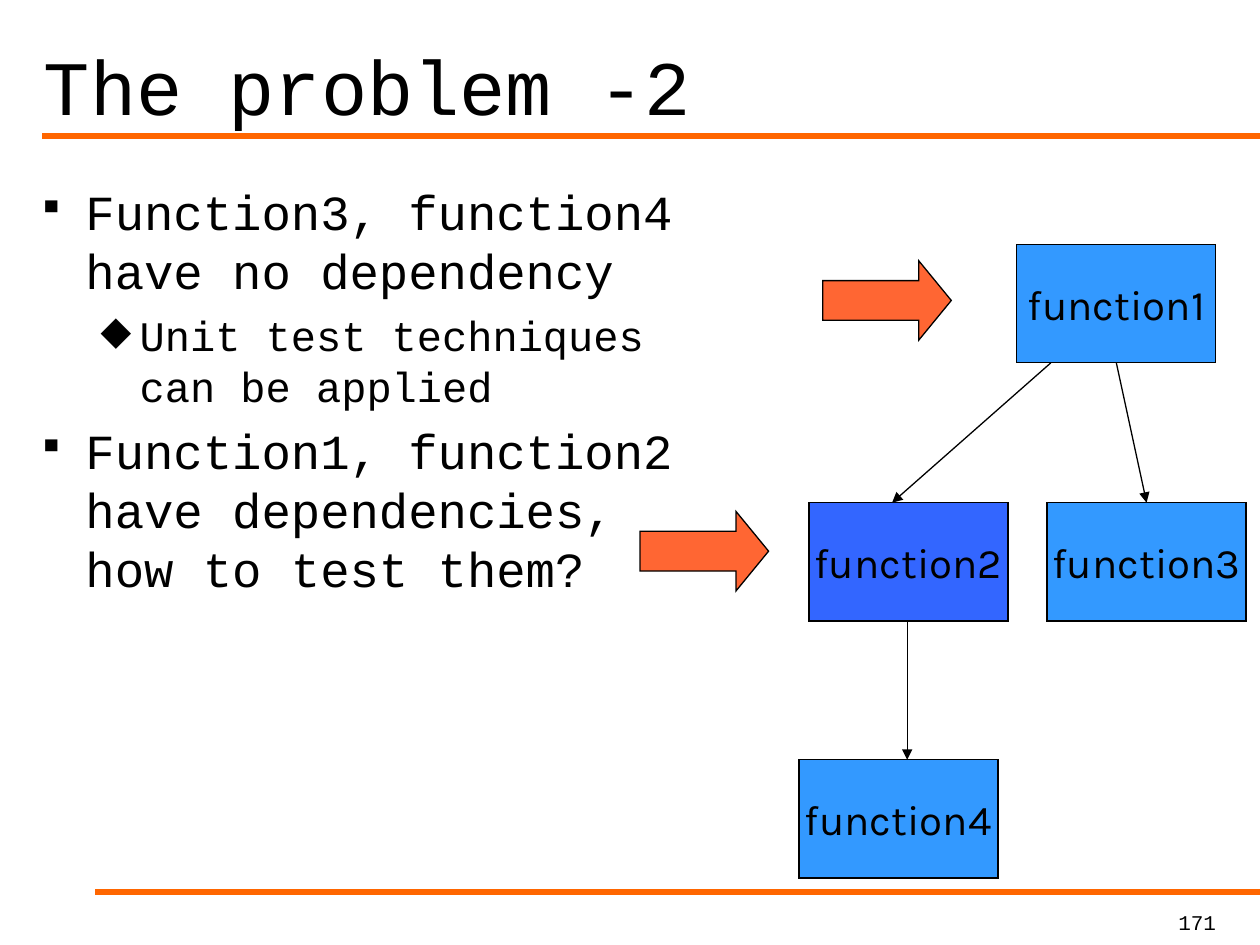
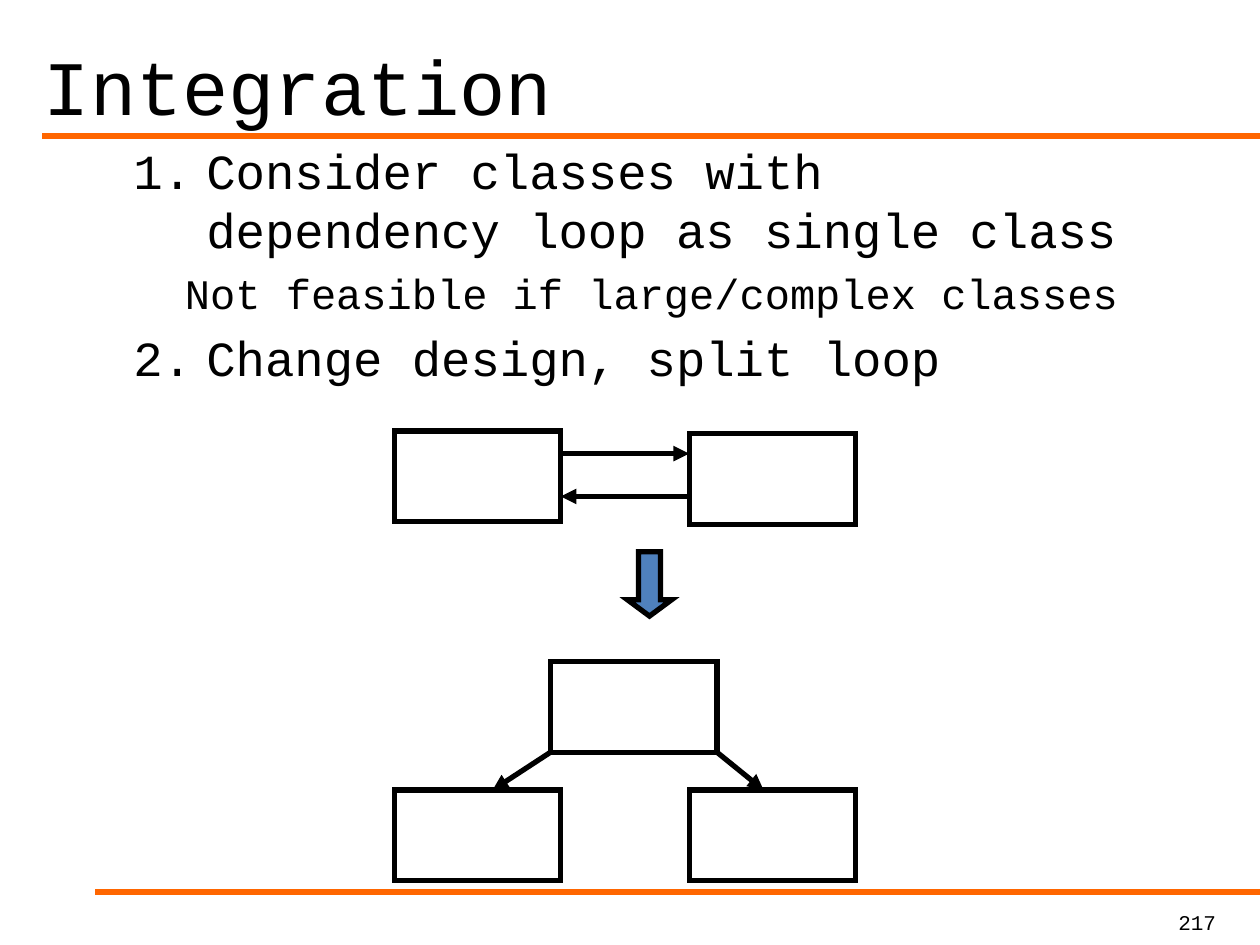
from lxml import etree
from pptx import Presentation
from pptx.dml.color import RGBColor
from pptx.enum import shapes, text
from pptx.oxml.ns import qn
from pptx.util import Inches, Pt

ORANGE = RGBColor(0xFF, 0x66, 0x00)
BLACK = RGBColor(0x00, 0x00, 0x00)
SKY = RGBColor(0x33, 0x99, 0xFF)
ROYAL = RGBColor(0x33, 0x66, 0xFF)
CORAL = RGBColor(0xFF, 0x66, 0x33)
STEEL = RGBColor(0x4F, 0x81, 0xBD)
BODY_FONT, NODE_FONT = "Courier New", "Karla"
THIN, THICK = 0.75, 3

# Paragraph styles: level, size, left margin, first-line indent, bullet, space after
NUMBER = "arabicPeriod"
STYLES = {
    "point": (0, 28, 0.38, -0.38, "▪", 0.05),
    "detail": (1, 24, 0.81, -0.31, "◆", 0),
    "step": (1, 28, 0.79, -0.58, NUMBER, 0),
    "remark": (2, 24, 1.12, -0.5, None, 0),
}
BULLET_PERCENT = {"▪": 75, "◆": 95}

PROBLEM = {
    "title": "The problem -2",
    "page": "171",
    "body_at": (0.2, 1.39, 5.51, 5.75),
    "body": [
        ("point", "Function3, function4 have no dependency"),
        ("detail", "Unit test techniques can be applied"),
        ("point", "Function1, function2 have dependencies, how to test them?"),
    ],
}
FUNCTION_SIZE = (1.58, 0.94)
FUNCTIONS = {
    "function1": (8.07, 1.94, SKY),
    "function2": (6.42, 3.99, ROYAL),
    "function3": (8.31, 3.99, SKY),
    "function4": (6.34, 6.03, SKY),
}
# Caller, callee, x where the arrow leaves, x where it lands
CALLS = [
    ("function1", "function2", 8.34, 7.08),
    ("function1", "function3", 8.86, 9.1),
    ("function2", "function4", 7.2, 7.2),
]
POINTERS = [(5.08, 4.06), (6.53, 2.07)]

INTEGRATION = {
    "title": "Integration",
    "page": "217",
    "body_at": (0.75, 1.07, 8.24, 5.1),
    "body": [
        ("step", "Consider classes with dependency loop as single class"),
        ("remark", "Not feasible if large/complex classes"),
        ("step", "Change design, split loop"),
    ],
}
CLASS_SIZE = (1.32, 0.72)
LEFT, MIDDLE, RIGHT = 3.13, 4.37, 5.47
LOOP_TOPS = {LEFT: 3.42, RIGHT: 3.44}
SPLIT_TOP, PARTS_TOP = 5.25, 6.27


def write(frame, lines, size=12, font=BODY_FONT, align=None, wrap=True,
          anchor=text.MSO_ANCHOR.TOP):
    """Fill a text frame; a line is plain text or a (style, text) pair."""
    frame.word_wrap = wrap
    frame.vertical_anchor = anchor
    for index, line in enumerate(lines):
        paragraph = frame.paragraphs[0] if index == 0 else frame.add_paragraph()
        line_size = size
        if isinstance(line, tuple):
            style, line = line
            line_size = apply_style(paragraph, STYLES[style], index == 0)
        if align is not None:
            paragraph.alignment = align
        run = paragraph.add_run()
        run.text = line
        run.font.size = Pt(line_size)
        run.font.name = font
        run.font.color.rgb = BLACK


def apply_style(paragraph, style, is_first):
    """Set level, spacing, indents and bullet; return the text size."""
    level, size, margin, indent, bullet, after = style
    paragraph.level = level
    paragraph.space_before = Pt(0 if is_first else 0.2 * size)
    paragraph.space_after = Pt(after * size)
    properties = paragraph._p.get_or_add_pPr()
    properties.set("marL", str(Inches(margin)))
    properties.set("indent", str(Inches(indent)))
    if bullet == NUMBER:
        etree.SubElement(properties, qn("a:buFont"), typeface=BODY_FONT)
        etree.SubElement(properties, qn("a:buAutoNum"), type=NUMBER)
    elif bullet:
        percent = BULLET_PERCENT[bullet] * 1000
        etree.SubElement(properties, qn("a:buSzPct"), val=str(percent))
        etree.SubElement(properties, qn("a:buChar"), char=bullet)
    else:
        etree.SubElement(properties, qn("a:buNone"))
    return size


def add_text(slide, at, lines, **text_format):
    box = slide.shapes.add_textbox(*map(Inches, at))
    write(box.text_frame, lines, **text_format)


def add_line(slide, start, end, color=BLACK, width=THIN, arrow=True):
    line = slide.shapes.add_connector(
        shapes.MSO_CONNECTOR.STRAIGHT, *map(Inches, (*start, *end)))
    line.line.color.rgb = color
    line.line.width = Pt(width)
    if arrow:
        etree.SubElement(line.line._get_or_add_ln(), qn("a:tailEnd"), type="triangle")
    etree.SubElement(line._element.spPr, qn("a:effectLst"))


def add_outlined(slide, kind, at, fill=None, width=THIN, adjustments=()):
    """Add a preset shape with a black, sharp-cornered outline."""
    shape = slide.shapes.add_shape(kind, *map(Inches, at))
    shape.shadow.inherit = False
    if fill is None:
        shape.fill.background()
    else:
        shape.fill.solid()
        shape.fill.fore_color.rgb = fill
    shape.line.color.rgb = BLACK
    shape.line.width = Pt(width)
    etree.SubElement(shape.line._get_or_add_ln(), qn("a:miter"), lim="800000")
    for index, value in enumerate(adjustments):
        shape.adjustments[index] = value
    return shape


def add_page(deck, content):
    """Add a slide with its rules, title, body and page number."""
    slide = deck.slides.add_slide(deck.slide_layouts[6])
    for left, y in ((0.33, 1.08), (0.75, 7.08)):
        add_line(slide, (10, y), (left, y), color=ORANGE, width=THICK, arrow=False)
    add_text(slide, (0.25, 0.17, 9.42, 1), [content["title"]], size=44,
             anchor=text.MSO_ANCHOR.MIDDLE)
    add_text(slide, content["body_at"], content["body"])
    add_text(slide, (8.25, 7.17, 1.5, 0.33), [content["page"]],
             align=text.PP_ALIGN.RIGHT)
    return slide


def draw_call_graph(slide):
    for name, (left, top, fill) in FUNCTIONS.items():
        node = add_outlined(slide, shapes.MSO_SHAPE.RECTANGLE,
                            (left, top, *FUNCTION_SIZE), fill)
        write(node.text_frame, [name], size=24, font=NODE_FONT, wrap=False,
              align=text.PP_ALIGN.CENTER, anchor=text.MSO_ANCHOR.MIDDLE)
    for caller, callee, start_x, end_x in CALLS:
        bottom = FUNCTIONS[caller][1] + FUNCTION_SIZE[1]
        add_line(slide, (start_x, bottom), (end_x, FUNCTIONS[callee][1]))
    for corner in POINTERS:
        add_outlined(slide, shapes.MSO_SHAPE.RIGHT_ARROW, (*corner, 1.02, 0.63),
                     CORAL, adjustments=(0.5, 0.41))


def draw_loop_split(slide):
    width, height = CLASS_SIZE
    corners = [*LOOP_TOPS.items(), (MIDDLE, SPLIT_TOP),
               (LEFT, PARTS_TOP), (RIGHT, PARTS_TOP)]
    for corner in corners:
        add_outlined(slide, shapes.MSO_SHAPE.RECTANGLE, (*corner, *CLASS_SIZE),
                     width=THICK)
    split_bottom = SPLIT_TOP + height
    dependencies = [
        ((LEFT + width, 3.6), (RIGHT, 3.6)),
        ((RIGHT, 3.94), (LEFT + width, 3.94)),
        ((MIDDLE, split_bottom), (3.91, PARTS_TOP)),
        ((MIDDLE + width, split_bottom), (6.06, PARTS_TOP)),
    ]
    for start, end in dependencies:
        add_line(slide, start, end, width=THICK)
    add_outlined(slide, shapes.MSO_SHAPE.DOWN_ARROW, (4.98, 4.38, 0.35, 0.51),
                 STEEL, THICK, adjustments=(0.5, 0.37))


def main():
    deck = Presentation()
    deck.slide_width, deck.slide_height = Inches(10), Inches(7.5)
    draw_call_graph(add_page(deck, PROBLEM))
    draw_loop_split(add_page(deck, INTEGRATION))
    deck.save("out.pptx")


if __name__ == "__main__":
    main()
